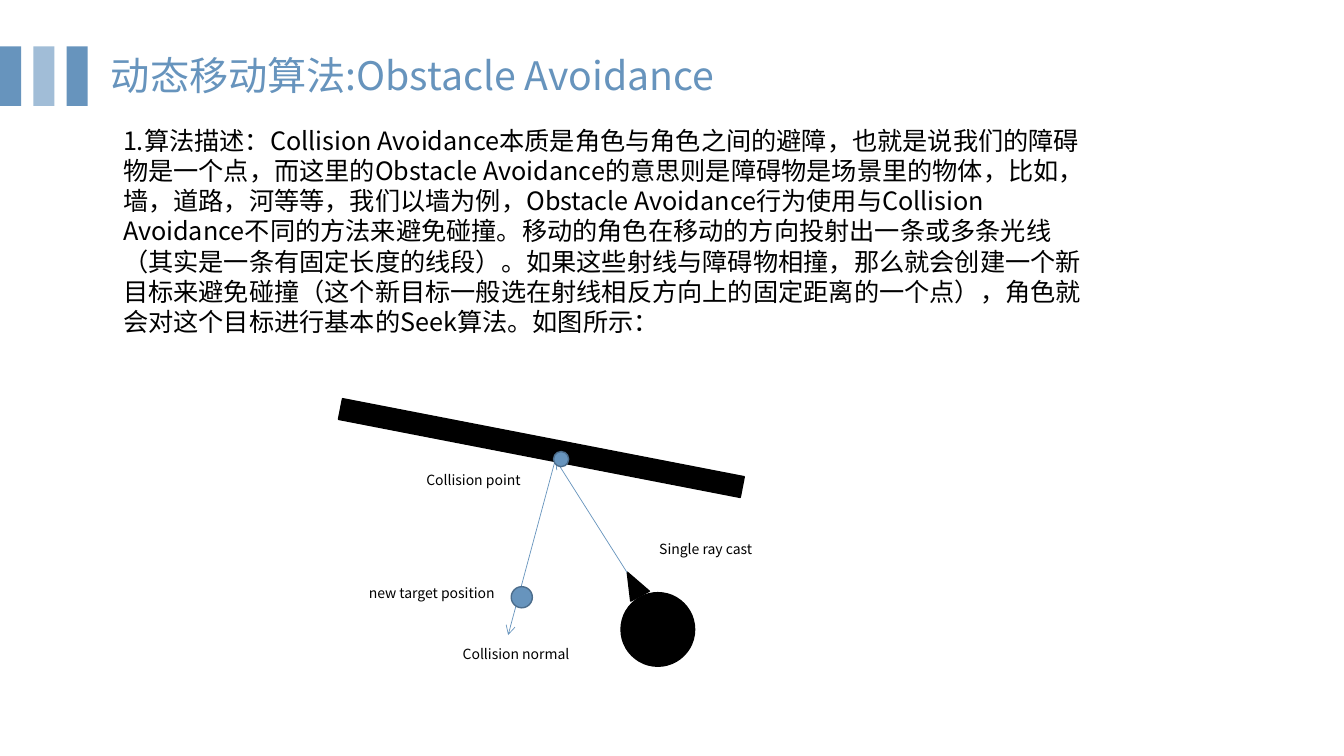
import pptx
import pptx.dml.color
import pptx.enum.shapes
import pptx.enum.text
import pptx.oxml
import pptx.oxml.ns
import pptx.util

PX = 9144
THEME = {
    "font": "Noto Sans CJK SC",
    "blue": "6794BD",
    "pale": "A1BDD7",
    "edge": "4C6D8C",
    "black": "000000",
    "title": 28,
    "body": 18,
    "label": 10,
}
KINDS = pptx.enum.shapes.MSO_SHAPE


def write(shape, box, text, size, color):
    shape.left, shape.top, shape.width, shape.height = [value * PX for value in box]
    frame = shape.text_frame
    frame.word_wrap = True
    frame.auto_size = pptx.enum.text.MSO_AUTO_SIZE.NONE
    frame.vertical_anchor = pptx.enum.text.MSO_ANCHOR.TOP
    paragraph = frame.paragraphs[0]
    properties = paragraph._p.get_or_add_pPr()
    properties.set("marL", "0")
    properties.set("indent", "0")
    properties.append(pptx.oxml.parse_xml(f"<a:buNone {pptx.oxml.ns.nsdecls('a')}/>"))
    paragraph.alignment = pptx.enum.text.PP_ALIGN.LEFT
    paragraph.space_before = pptx.util.Pt(0)
    paragraph.line_spacing = pptx.util.Pt(THEME[size] * 1.2)
    run = paragraph.add_run()
    run.text = text
    run.font.size = pptx.util.Pt(THEME[size])
    run.font.color.rgb = pptx.dml.color.RGBColor.from_string(THEME[color])
    run.font.name = THEME["font"]
    run._r.get_or_add_rPr().append(pptx.oxml.parse_xml(
        f'<a:ea {pptx.oxml.ns.nsdecls("a")} typeface="{THEME["font"]}"/>'))


def draw(kind, box, fill, line=None, rotation=0):
    shape = slide.shapes.add_shape(kind, *[value * PX for value in box])
    shape.shadow.inherit = False
    shape.rotation = rotation
    shape.fill.solid()
    shape.fill.fore_color.rgb = pptx.dml.color.RGBColor.from_string(THEME[fill])
    if line:
        shape.line.color.rgb = pptx.dml.color.RGBColor.from_string(THEME[line])
        shape.line.width = pptx.util.Pt(1)
    else:
        shape.line.fill.background()


presentation = pptx.Presentation()
presentation.slide_width = 1333 * PX
presentation.slide_height = 750 * PX
slide = presentation.slides.add_slide(presentation.slide_layouts[1])

write(slide.shapes.title, (100, 46, 759, 57),
      "动态移动算法:Obstacle Avoidance", "title", "blue")
for index, color in enumerate(("blue", "pale", "blue")):
    draw(KINDS.RECTANGLE, (33 * index, 46, 21, 59), color)

description = (
    "1.算法描述：Collision Avoidance本质是角色与角色之间的避障，"
    "也就是说我们的障碍物是一个点，而这里的Obstacle Avoidance的意思则是"
    "障碍物是场景里的物体，比如，墙，道路，河等等，我们以墙为例，"
    "Obstacle Avoidance行为使用与Collision Avoidance不同的方法来避免碰撞。"
    "移动的角色在移动的方向投射出一条或多条光线（其实是一条有固定长度的线段）。"
    "如果这些射线与障碍物相撞，那么就会创建一个新目标来避免碰撞"
    "（这个新目标一般选在射线相反方向上的固定距离的一个点），"
    "角色就会对这个目标进行基本的Seek算法。如图所示："
)
write(slide.placeholders[1], (112, 119, 984, 252), description, "body", "black")

draw(KINDS.RECTANGLE, (334, 434, 406, 21), "black", "black", 11)
draw(KINDS.OVAL, (616, 588, 73, 73), "black", "black")
draw(KINDS.ISOSCELES_TRIANGLE, (618, 566, 21, 27), "black", "black", 332)

for ends in ((622, 568, 551, 456), (550, 459, 504, 630)):
    arrow = slide.shapes.add_connector(
        pptx.enum.shapes.MSO_CONNECTOR.STRAIGHT, *[value * PX for value in ends])
    arrow.line.color.rgb = pptx.dml.color.RGBColor.from_string(THEME["blue"])
    arrow.line.width = pptx.util.Pt(0.5)
    namespace = pptx.oxml.ns.nsdecls("a")
    arrow.line._get_or_add_ln().append(
        pptx.oxml.parse_xml(f'<a:tailEnd {namespace} type="arrow"/>'))
    arrow._element.spPr.append(pptx.oxml.parse_xml(f"<a:effectLst {namespace}/>"))

for left, top, diameter in ((549, 448, 15), (507, 582, 21)):
    draw(KINDS.OVAL, (left, top, diameter, diameter), "blue", "edge")

for text, left, top, width in (
    ("Collision normal", 449, 636, 145),
    ("Single ray cast", 644, 531, 120),
    ("Collision point", 413, 463, 120),
    ("new target position", 356, 575, 147),
):
    label = slide.shapes.add_textbox(0, 0, PX, PX)
    write(label, (left, top, width, 27), text, "label", "black")

presentation.save("out.pptx")
